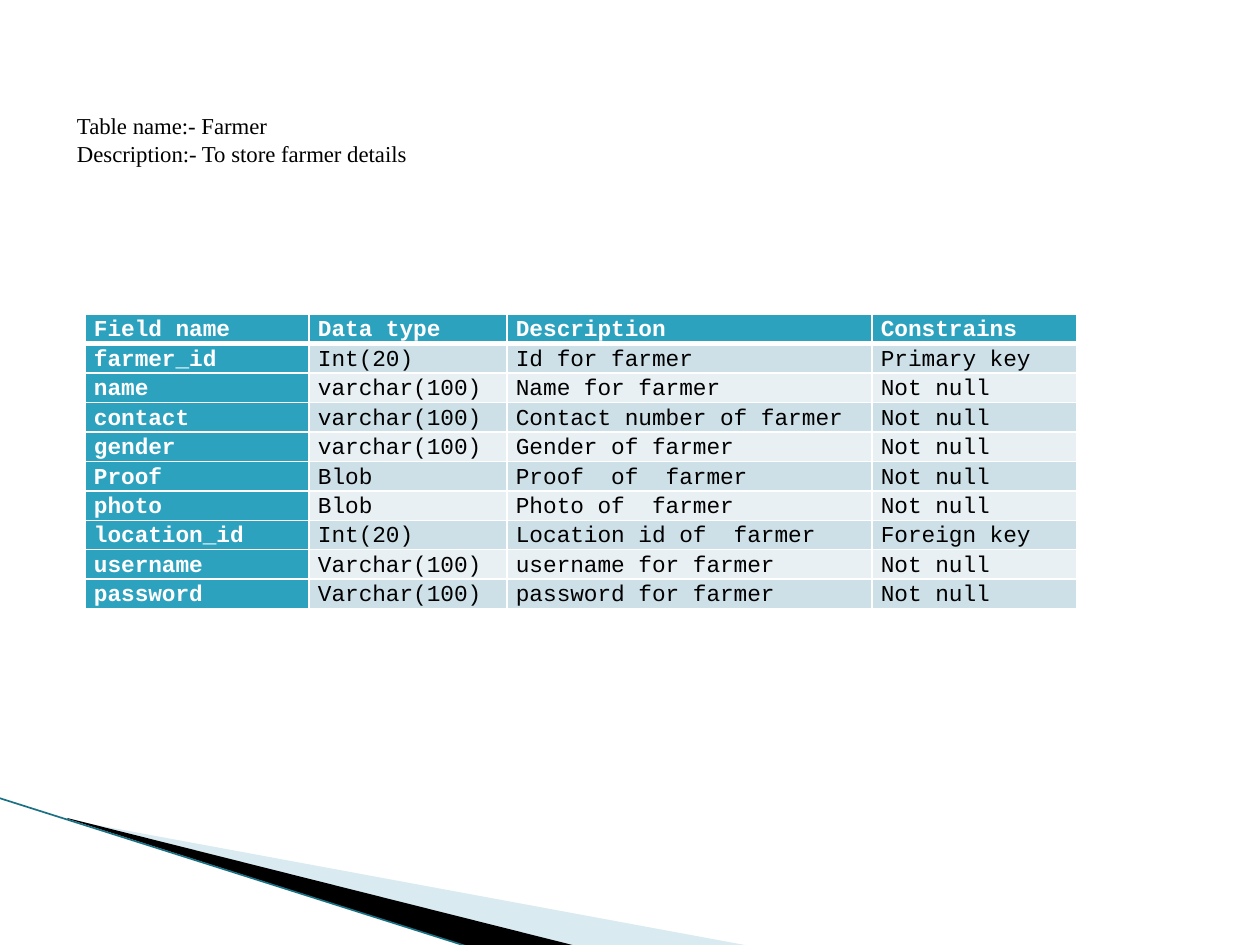
from dataclasses import dataclass

from lxml.etree import SubElement
from pptx import Presentation
from pptx.dml.color import RGBColor as RGB
from pptx.enum.shapes import MSO_CONNECTOR as CONN
from pptx.oxml.ns import qn
from pptx.util import Inches, Pt

PX = Inches(1) / 126


def emu(px):
    return round(px * PX)


@dataclass(frozen=True)
class Theme:
    head: str = "2DA2BF"
    odd: str = "CDE0E8"
    even: str = "E8F0F4"
    pale: str = "A0CBDC"
    edge: str = "1B7184"
    dark: str = "000000"
    white: str = "FFFFFF"
    mono: str = "Courier New"
    serif: str = "Times New Roman"
    size: int = 13


class Deck:
    def __init__(self, theme):
        self.theme = theme
        self.prs = Presentation()
        self.prs.slide_width, self.prs.slide_height = emu(1260), emu(945)
        self.slide = self.prs.slides.add_slide(self.prs.slide_layouts[6])
        self.shapes = self.slide.shapes

    def style(self, frame, font, color, bold=False, space=None):
        for para in frame.paragraphs:
            if space:
                para.line_spacing = space
            for run in para.runs:
                run.font.name = font
                run.font.size = Pt(self.theme.size)
                run.font.bold = bold
                run.font.color.rgb = RGB.from_string(color)

    def text(self, x, y, w, h, words):
        frame = self.shapes.add_textbox(emu(x), emu(y), emu(w), emu(h)).text_frame
        frame.word_wrap = True
        frame.margin_left = frame.margin_right = 0
        frame.margin_top = frame.margin_bottom = 0
        frame.text = words
        self.style(frame, self.theme.serif, self.theme.dark)

    def wedge(self, points, color, alpha=100):
        pen = self.shapes.build_freeform(*points[0], scale=PX)
        pen.add_line_segments(points[1:], close=True)
        shape = pen.convert_to_shape()
        shape.shadow.inherit = False
        shape.line.fill.background()
        shape.fill.solid()
        shape.fill.fore_color.rgb = RGB.from_string(color)
        if alpha < 100:
            tint = next(shape.element.spPr.iter(qn("a:srgbClr")))
            SubElement(tint, qn("a:alpha"), val=str(alpha * 1000))

    def line(self, start, end, color, width):
        line = self.shapes.add_connector(
            CONN.STRAIGHT, *(emu(v) for v in start + end))
        line.line.color.rgb = RGB.from_string(color)
        line.line.width = Pt(width)
        SubElement(line.element.spPr, qn("a:effectLst"))

    def border(self, cell, widths):
        """Draw the left, right, top and bottom cell edges, widths in points."""
        props = cell._tc.get_or_add_tcPr()
        for spot, (side, width) in enumerate(zip("LRTB", widths)):
            edge = SubElement(props, qn(f"a:ln{side}"), w=str(Pt(width)))
            fill = SubElement(edge, qn("a:solidFill"))
            SubElement(fill, qn("a:srgbClr"), val=self.theme.white)
            props.insert(spot, edge)

    def table(self, x, y, cols, high, rows):
        t = self.theme
        table = self.shapes.add_table(
            len(rows), len(cols), emu(x), emu(y),
            emu(sum(cols)), emu(high * len(rows))).table
        for col, width in zip(table.columns, cols):
            col.width = emu(width)
        for r, row in enumerate(rows):
            table.rows[r].height = emu(high)
            for c, words in enumerate(row):
                cell = table.cell(r, c)
                title = r == 0 or c == 0
                cell.margin_left = cell.margin_right = emu(9)
                cell.margin_top = cell.margin_bottom = 0
                cell.text_frame.text = words
                self.style(cell.text_frame, t.mono,
                           t.white if title else t.dark, title, 1.15)
                cell.fill.solid()
                cell.fill.fore_color.rgb = RGB.from_string(
                    t.head if title else t.odd if r % 2 else t.even)
                self.border(cell, (1, 1, 3 if r == 1 else 1, 3 if r == 0 else 1))


FIELDS = [
    ("Field name", "Data type", "Description", "Constrains"),
    ("farmer_id", "Int(20)", "Id for farmer", "Primary key"),
    ("name", "varchar(100)", "Name for farmer", "Not null"),
    ("contact", "varchar(100)", "Contact number of farmer", "Not null"),
    ("gender", "varchar(100)", "Gender of farmer", "Not null"),
    ("Proof", "Blob", "Proof  of  farmer", "Not null"),
    ("photo", "Blob", "Photo of  farmer", "Not null"),
    ("location_id", "Int(20)", "Location id of  farmer", "Foreign key"),
    ("username", "Varchar(100)", "username for farmer", "Not null"),
    ("password", "Varchar(100)", "password for farmer", "Not null"),
]


def main():
    theme = Theme()
    deck = Deck(theme)
    deck.wedge([(69, 820), (750, 946), (575, 946), (69, 819)], theme.pale, 40)
    deck.wedge([(67, 818), (576, 946), (469, 947), (68, 819)], theme.dark)
    deck.line((-1, 798), (469, 947), theme.edge, 0.95)
    deck.table(85, 314, (224, 198, 365, 205), 29, FIELDS)
    deck.text(77, 112, 1100, 54,
              "Table name:- Farmer\nDescription:- To store farmer details")
    deck.prs.save("out.pptx")


if __name__ == "__main__":
    main()
